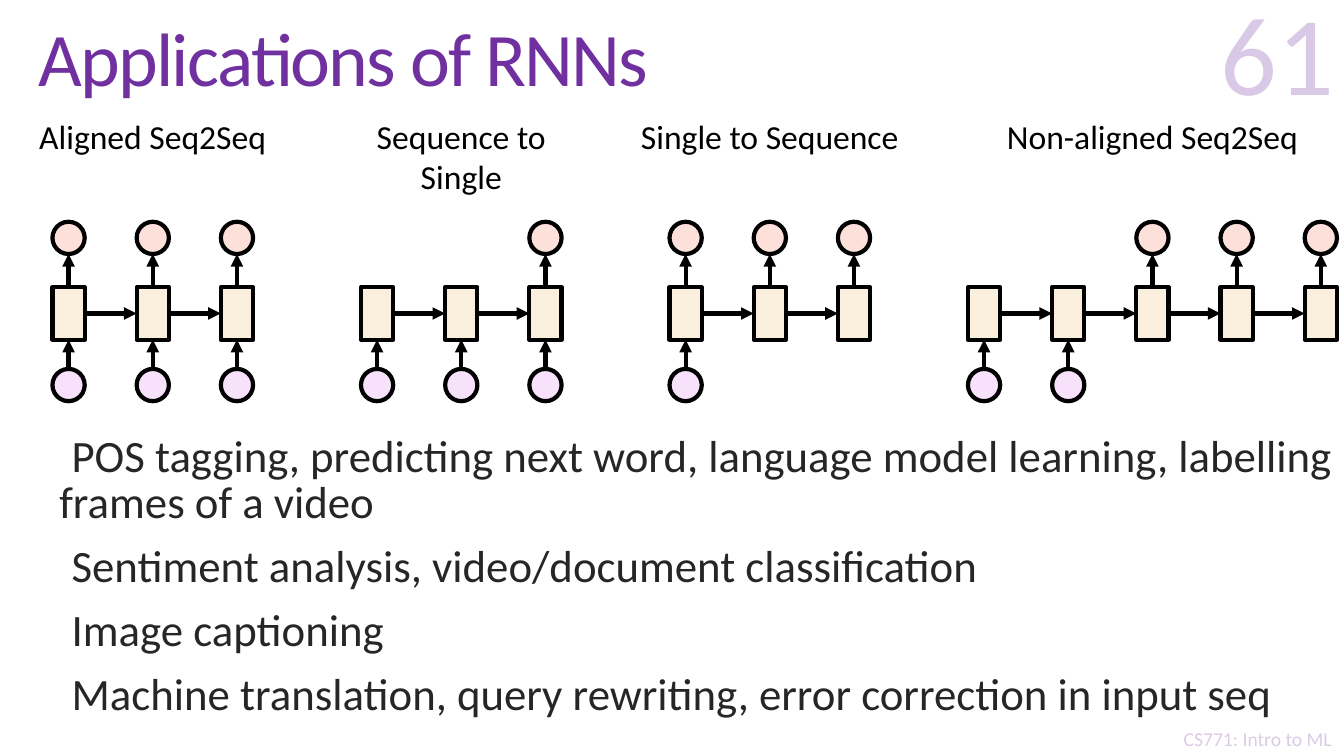
import pptx
import pptx.dml.color
import pptx.enum.shapes
import pptx.enum.text
import pptx.oxml.ns
import pptx.util
from lxml import etree

Inches = pptx.util.Inches
Pt = pptx.util.Pt
ALIGN = pptx.enum.text.PP_ALIGN
ANCHOR = pptx.enum.text.MSO_ANCHOR
SHAPES = pptx.enum.shapes.MSO_SHAPE
qn = pptx.oxml.ns.qn

PURPLE, BLACK, WHITE, BODY = "7030A0", "000000", "FFFFFF", "262626"
OUTPUT, HIDDEN, INPUT = "FDE0DA", "FAEEDC", "F8E2FB"


def color(value):
    return pptx.dml.color.RGBColor.from_string(value)


def set_all(target, values):
    for name, value in values.items():
        setattr(target, name, value)


def set_opacity(element, percent):
    for node in element.iter(qn("a:srgbClr")):
        etree.SubElement(node, qn("a:alpha"), val=str(percent * 1000))


class Slide:
    font_name = "Calibri"
    line_width = 3

    def __init__(self, page):
        self.page = page

    def text(self, place, lines, size, ink, align=ALIGN.LEFT, anchor=ANCHOR.TOP,
             spacing=1.0, before=0, opacity=None, tracking=None, hanging=False, wrap=True):
        box = self.page.shapes.add_textbox(*map(Inches, place))
        frame = box.text_frame
        set_all(frame, {"word_wrap": wrap, "vertical_anchor": anchor})
        for index, line in enumerate(lines):
            para = frame.paragraphs[0] if index == 0 else frame.add_paragraph()
            set_all(para, {"alignment": align, "line_spacing": spacing,
                           "space_before": Pt(before if index else 0)})
            if hanging:
                properties = para._p.get_or_add_pPr()
                properties.set("marL", str(Inches(0.1)))
                properties.set("indent", str(Inches(-0.1)))
                etree.SubElement(properties, qn("a:buChar"), char=" ")
            span = para.add_run()
            span.text = line
            set_all(span.font, {"name": self.font_name, "size": Pt(size)})
            span.font.color.rgb = color(ink)
            if opacity:
                set_opacity(span._r, opacity)
            if tracking:
                span._r.get_or_add_rPr().set("spc", str(int(tracking * 100)))

    def shape(self, kind, place, fill, outline=None, opacity=None):
        shape = self.page.shapes.add_shape(kind, *map(Inches, place))
        shape.shadow.inherit = False
        shape.fill.solid()
        shape.fill.fore_color.rgb = color(fill)
        if opacity:
            set_opacity(shape._element.spPr, opacity)
        if outline:
            shape.line.color.rgb = color(outline)
            shape.line.width = Pt(self.line_width)
        else:
            shape.line.fill.background()

    def node(self, kind, center, top, height, fill):
        self.shape(kind, (center - NODE / 2, top, NODE, height), fill, BLACK)

    def arrow(self, start, end):
        line = self.page.shapes.add_connector(
            pptx.enum.shapes.MSO_CONNECTOR.STRAIGHT, *map(Inches, (*start, *end)))
        line.line.color.rgb = color(BLACK)
        line.line.width = Pt(self.line_width)
        etree.SubElement(line.line._get_or_add_ln(), qn("a:tailEnd"), type="triangle")
        etree.SubElement(line._element.spPr, qn("a:effectLst"))

    def network(self, label, label_width, first, inputs, outputs):
        """Draw one chain; inputs and outputs flag the steps that have them."""
        middle = first + STEP * (len(inputs) - 1) / 2
        self.text((middle - label_width / 2, 1.1, label_width, 0.5), [label], 24, BLACK, ALIGN.CENTER)
        for index, (has_input, has_output) in enumerate(zip(inputs, outputs)):
            center = first + STEP * index
            if has_input:
                self.node(SHAPES.OVAL, center, INPUT_TOP, NODE, INPUT)
                self.arrow((center, INPUT_TOP), (center, CELL_TOP + CELL_HEIGHT))
            if has_output:
                self.node(SHAPES.OVAL, center, OUTPUT_TOP, NODE, OUTPUT)
                self.arrow((center, CELL_TOP), (center, OUTPUT_TOP + NODE))
            self.node(SHAPES.RECTANGLE, center, CELL_TOP, CELL_HEIGHT, HIDDEN)
            if index:
                row = CELL_TOP + CELL_HEIGHT / 2
                self.arrow((center - STEP + NODE / 2, row), (center - NODE / 2, row))


# Diagram grid
NODE, CELL_HEIGHT = 0.32, 0.52
STEP = 1.67 / 2
OUTPUT_TOP, CELL_TOP, INPUT_TOP = 2.2, 2.85, 3.66

# label, label width, first step centre, inputs, outputs
NETWORKS = [
    ("Aligned Seq2Seq", 3.27, 0.68, (1, 1, 1), (1, 1, 1)),
    ("Sequence to Single", 2.74, 3.74, (1, 1, 1), (0, 0, 1)),
    ("Single to Sequence", 3.27, 6.8, (1, 0, 0), (1, 1, 1)),
    ("Non-aligned Seq2Seq", 3.27, 9.76, (1, 1, 0, 0, 0), (0, 0, 1, 1, 1)),
]
APPLICATIONS = [
    "POS tagging, predicting next word, language model learning, labelling frames of a video",
    "Sentiment analysis, video/document classification",
    "Image captioning",
    "Machine translation, query rewriting, error correction in input seq",
]


def main():
    deck = pptx.Presentation()
    set_all(deck, {"slide_width": Inches(13.33), "slide_height": Inches(7.5)})
    slide = Slide(deck.slides.add_slide(deck.slide_layouts[6]))

    # Footer, faded by a translucent cover
    slide.text((11.52, 7.16, 1.91, 0.34), ["CS771: Intro to ML"], 14, PURPLE, ALIGN.CENTER, wrap=False)
    slide.shape(SHAPES.RECTANGLE, (11.64, 5.68, 1.69, 1.82), WHITE, opacity=75)

    # Title and page number
    slide.text((0.28, 0.04, 12.69, 1.18), ["Applications of RNNs"], 54, PURPLE,
               anchor=ANCHOR.MIDDLE, spacing=0.85, tracking=-1.2)
    slide.text((10.13, 0.05, 3.2, 1.17), ["61"], 80, PURPLE, ALIGN.RIGHT, ANCHOR.BOTTOM, opacity=25)

    # Applications
    slide.text((0.39, 4.28, 12.94, 3.07), APPLICATIONS, 32, BODY, spacing=0.85, before=13, hanging=True)

    # Network diagrams
    for network in NETWORKS:
        slide.network(*network)

    deck.save("out.pptx")


if __name__ == "__main__":
    main()
